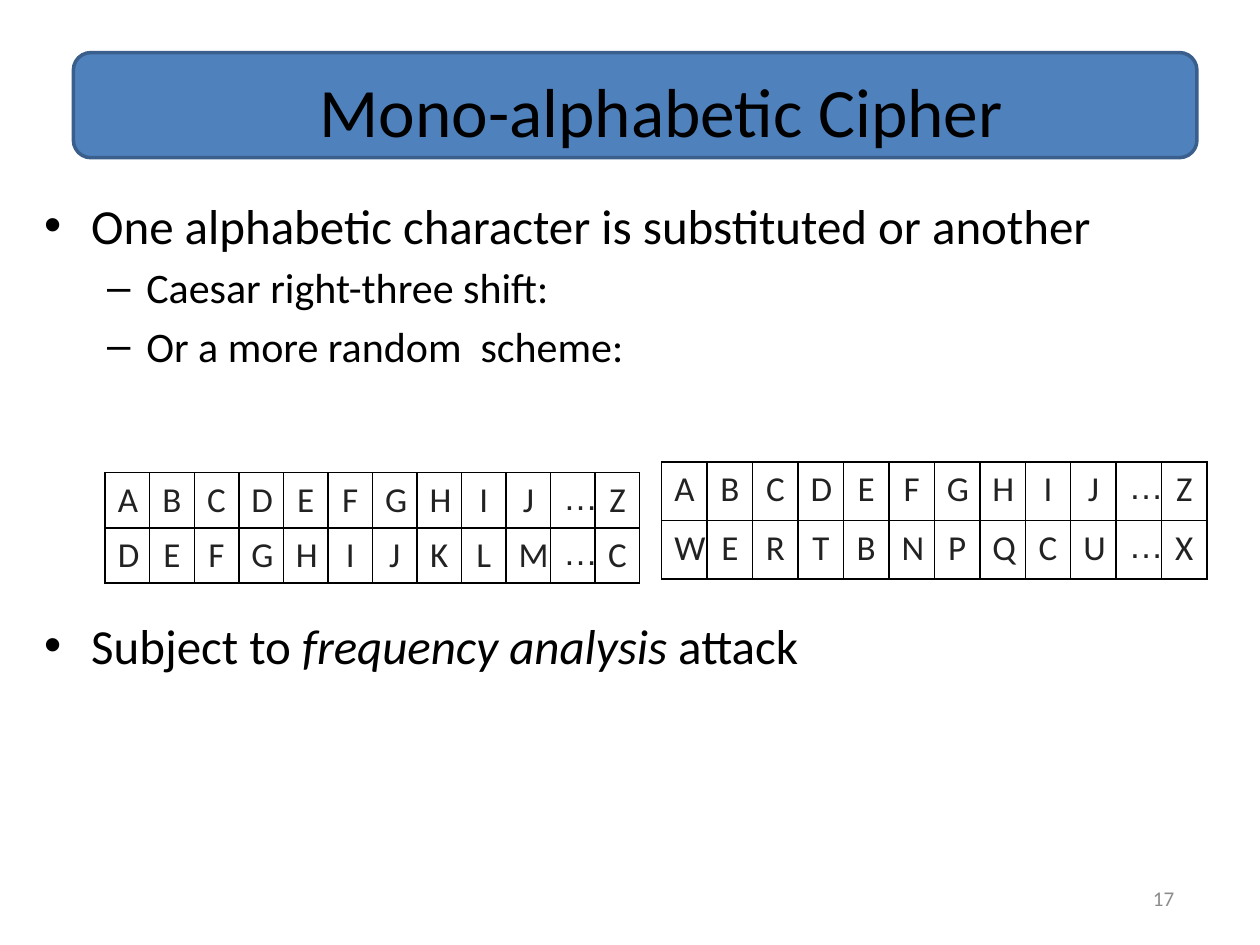
from dataclasses import dataclass

from lxml import etree
from pptx import Presentation
from pptx import util as u
from pptx.dml.color import RGBColor
from pptx.enum import shapes, text
from pptx.oxml.ns import qn


@dataclass(frozen=True)
class Theme:
    font: str = "Calibri"
    bullet_font: str = "Arial"
    ink: str = "000000"
    cell_ink: str = "222222"
    paper: str = "FFFFFF"
    banner: str = "4F81BD"
    banner_edge: str = "3A5F8C"
    muted: str = "8C8C8C"
    title_size: float = 39.6
    level_sizes: tuple = (28, 24)
    cell_size: float = 20
    number_size: float = 12


# Per outline level: bullet, left margin and hanging indent in cm
LEVELS = (("•", 0.95, 0.95), ("–", 2.06, 0.79))
CELL_HANG = 0.95
BORDERS = ("a:lnL", "a:lnR", "a:lnT", "a:lnB")


def rgb(value):
    return RGBColor.from_string(value)


def box(left, top, width, height):
    return [u.Cm(length) for length in (left, top, width, height)]


def hang(paragraph, margin, indent):
    properties = paragraph._p.get_or_add_pPr()
    properties.set("marL", str(u.Cm(margin)))
    properties.set("indent", str(-u.Cm(indent)))
    return properties


class CipherSlide:
    def __init__(self, presentation, theme):
        self.theme = theme
        self.slide = presentation.slides.add_slide(presentation.slide_layouts[5])

    def style(self, font, size, color, name=None):
        font.name = name or self.theme.font
        font.size = u.Pt(size)
        font.color.rgb = rgb(color)

    def banner(self, *place):
        panel = self.slide.shapes.add_shape(
            shapes.MSO_SHAPE.ROUNDED_RECTANGLE, *box(*place))
        panel.shadow.inherit = False
        panel.fill.solid()
        panel.fill.fore_color.rgb = rgb(self.theme.banner)
        panel.line.color.rgb = rgb(self.theme.banner_edge)
        panel.line.width = u.Pt(2)
        # Send the panel behind the title
        self.slide.shapes._spTree.insert(2, panel._element)

    def title(self, wording, *place):
        heading = self.slide.shapes.title
        heading.left, heading.top, heading.width, heading.height = box(*place)
        frame = heading.text_frame
        frame.text = wording
        frame.vertical_anchor = text.MSO_ANCHOR.MIDDLE
        frame.paragraphs[0].alignment = text.PP_ALIGN.CENTER
        self.style(frame.paragraphs[0].runs[0].font,
                   self.theme.title_size, self.theme.ink)

    def outline(self, points, *place):
        """Each point is (level, space before in pt, [(wording, italic), ...])."""
        frame = self.slide.shapes.add_textbox(*box(*place)).text_frame
        frame.word_wrap = True
        for index, (level, gap, pieces) in enumerate(points):
            point = frame.paragraphs[0] if index == 0 else frame.add_paragraph()
            bullet, margin, indent = LEVELS[level]
            point.level = level
            properties = hang(point, margin, indent)
            etree.SubElement(properties, qn("a:buFont"),
                             typeface=self.theme.bullet_font)
            etree.SubElement(properties, qn("a:buChar"), char=bullet)
            point.space_before = u.Pt(gap)
            for wording, italic in pieces:
                run = point.add_run()
                run.text = wording
                run.font.italic = italic
                self.style(run.font, self.theme.level_sizes[level], self.theme.ink)

    def cipher_table(self, plain, cipher, *place):
        grid = self.slide.shapes.add_table(2, len(plain), *box(*place)).table
        grid.first_row = grid.horz_banding = False
        for row, letters in enumerate((plain, cipher)):
            for column, letter in enumerate(letters):
                self.letter_cell(grid.cell(row, column), letter)

    def letter_cell(self, cell, letter):
        cell.text = letter
        cell.fill.solid()
        cell.fill.fore_color.rgb = rgb(self.theme.paper)
        paragraph = cell.text_frame.paragraphs[0]
        paragraph.alignment = text.PP_ALIGN.CENTER
        hang(paragraph, CELL_HANG, CELL_HANG)
        name = self.theme.bullet_font if letter == "…" else self.theme.font
        self.style(paragraph.runs[0].font, self.theme.cell_size,
                   self.theme.cell_ink, name)
        properties = cell._tc.get_or_add_tcPr()
        for position, tag in enumerate(BORDERS):
            edge = etree.Element(qn(tag), w=str(u.Pt(1)))
            fill = etree.SubElement(edge, qn("a:solidFill"))
            etree.SubElement(fill, qn("a:srgbClr"), val=self.theme.ink)
            properties.insert(position, edge)

    def page_number(self, number, *place):
        frame = self.slide.shapes.add_textbox(*box(*place)).text_frame
        frame.word_wrap = True
        frame.vertical_anchor = text.MSO_ANCHOR.MIDDLE
        frame.text = number
        frame.paragraphs[0].alignment = text.PP_ALIGN.RIGHT
        self.style(frame.paragraphs[0].runs[0].font,
                   self.theme.number_size, self.theme.muted)


def main():
    presentation = Presentation()
    presentation.slide_width, presentation.slide_height = u.Cm(25.4), u.Cm(19.05)
    page = CipherSlide(presentation, Theme())

    # Heading
    page.banner(1.48, 1.06, 22.65, 2.12)
    page.title("Mono-alphabetic Cipher", 2.75, 1.27, 21.16, 1.9)

    # Outline; the last point leaves room for the tables
    page.outline([
        (0, 0, [("One alphabetic character is substituted or another", False)]),
        (1, 4.5, [("Caesar right-three shift:", False)]),
        (1, 4.5, [("Or a more random  scheme:", False)]),
        (0, 140, [("Subject to ", False), ("frequency analysis", True),
                  (" attack", False)]),
    ], 0.64, 3.81, 24.13, 11.43)

    # Substitution alphabets: right-three shift, then random
    plain = "ABCDEFGHIJ…Z"
    page.cipher_table(plain, "DEFGHIJKLM…C", 2.12, 9.53, 10.78, 2.22)
    page.cipher_table(plain, "WERTBNPQCU…X", 13.34, 9.31, 11, 2.36)

    # Footer
    page.page_number("17", 18.2, 17.57, 5.72, 1.06)

    presentation.save("out.pptx")


if __name__ == "__main__":
    main()
